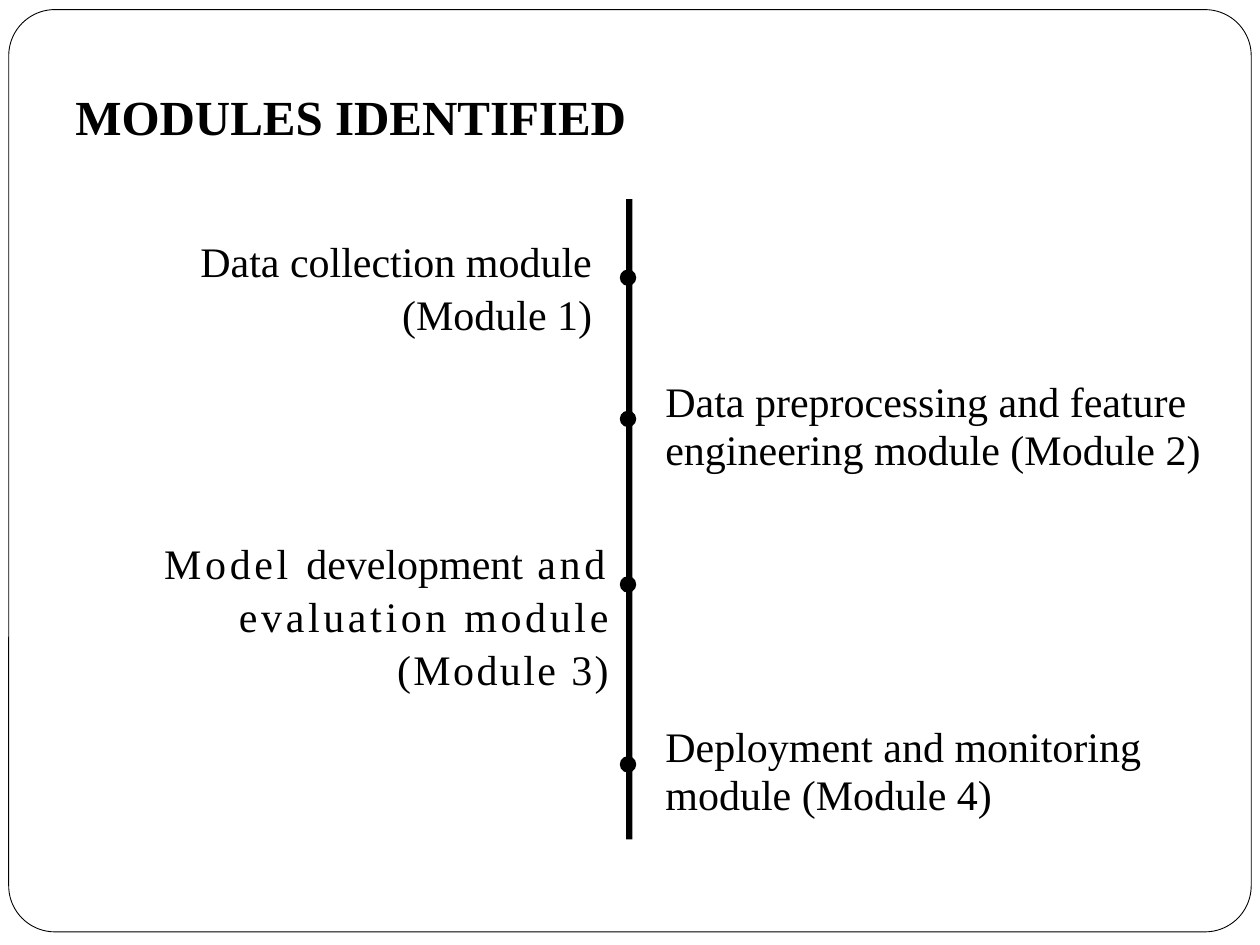
from pptx import Presentation
from pptx import util as u
from pptx.dml.color import RGBColor
from pptx.enum import shapes, text

COLOURS = {"ink": "000000", "paper": "FFFFFF"}
FONT = "Times New Roman"
AXIS_X = 358.9
DOT_SIZE = 9.4


class TimelineSlide:
    def __init__(self, slide):
        self.slide = slide

    def colour(self, name):
        return RGBColor.from_string(COLOURS[name])

    def shape(self, kind, left, top, width, height, fill="ink", line_width=None):
        shape = self.slide.shapes.add_shape(
            kind, u.Pt(left), u.Pt(top), u.Pt(width), u.Pt(height))
        shape.shadow.inherit = False
        shape.fill.solid()
        shape.fill.fore_color.rgb = self.colour(fill)
        if line_width:
            shape.line.color.rgb = self.colour("ink")
            shape.line.width = u.Pt(line_width)
        else:
            shape.line.fill.background()
        return shape

    def dot(self, centre_y):
        self.shape(shapes.MSO_SHAPE.OVAL, AXIS_X - DOT_SIZE / 2,
                   centre_y - DOT_SIZE / 2, DOT_SIZE, DOT_SIZE)

    def text(self, left, top, width, height, paragraphs, size=24, bold=False,
             align=text.PP_ALIGN.LEFT, spacing=None, insets=(0, 0, 0, 0),
             anchor=text.MSO_ANCHOR.TOP):
        box = self.slide.shapes.add_textbox(
            u.Pt(left), u.Pt(top), u.Pt(width), u.Pt(height))
        frame = box.text_frame
        frame.word_wrap = True
        frame.vertical_anchor = anchor
        (frame.margin_left, frame.margin_top,
         frame.margin_right, frame.margin_bottom) = map(u.Pt, insets)
        for index, runs in enumerate(paragraphs):
            paragraph = frame.add_paragraph() if index else frame.paragraphs[0]
            paragraph.alignment = align
            paragraph.line_spacing = spacing
            paragraph.font.name = FONT
            paragraph.font.size = u.Pt(size)
            paragraph.font.bold = bold
            paragraph.font.color.rgb = self.colour("ink")
            for words, tracking in runs:
                run = paragraph.add_run()
                run.text = words
                if tracking:
                    run._r.get_or_add_rPr().set("spc", str(round(tracking * 100)))

    def left_label(self, left, top, width, height, paragraphs):
        self.text(left, top, width, height, paragraphs,
                  align=text.PP_ALIGN.RIGHT, spacing=1.05)

    def right_label(self, top, words):
        self.text(380.2, top, 312, 54.7, [[(words, 0)]], spacing=u.Pt(27.3))


def main():
    presentation = Presentation()
    presentation.slide_width = u.Pt(720)
    presentation.slide_height = u.Pt(540)
    page = TimelineSlide(presentation.slides.add_slide(presentation.slide_layouts[6]))

    frame = page.shape(shapes.MSO_SHAPE.ROUNDED_RECTANGLE, 5, 5.5, 710, 527,
                       fill="paper", line_width=0.5)
    frame.adjustments[0] = 0.05
    page.text(36, 43.2, 360, 46.8, [[("MODULES IDENTIFIED", 0)]], size=28, bold=True,
              insets=(7.2, 3.6, 7.2, 7.2), anchor=text.MSO_ANCHOR.BOTTOM)

    page.shape(shapes.MSO_SHAPE.RECTANGLE, 357.8, 113.8, 3.6, 365.8)
    for centre_y in (158.7, 239.4, 334, 436.8):
        page.dot(centre_y)

    page.left_label(95.8, 133.2, 242.6, 58.3,
                    [[("Data collection module", 0)], [("(Module 1)", 0)]])
    page.right_label(216, "Data preprocessing and feature engineering module (Module 2)")
    page.left_label(36, 306, 312, 87.1,
                    [[("Model ", 2.1), ("development", 0), (" and evaluation module", 2.1)],
                     [("(Module 3)", 1.4)]])
    page.right_label(413.3, "Deployment and monitoring module (Module 4)")

    presentation.save("out.pptx")


if __name__ == "__main__":
    main()
